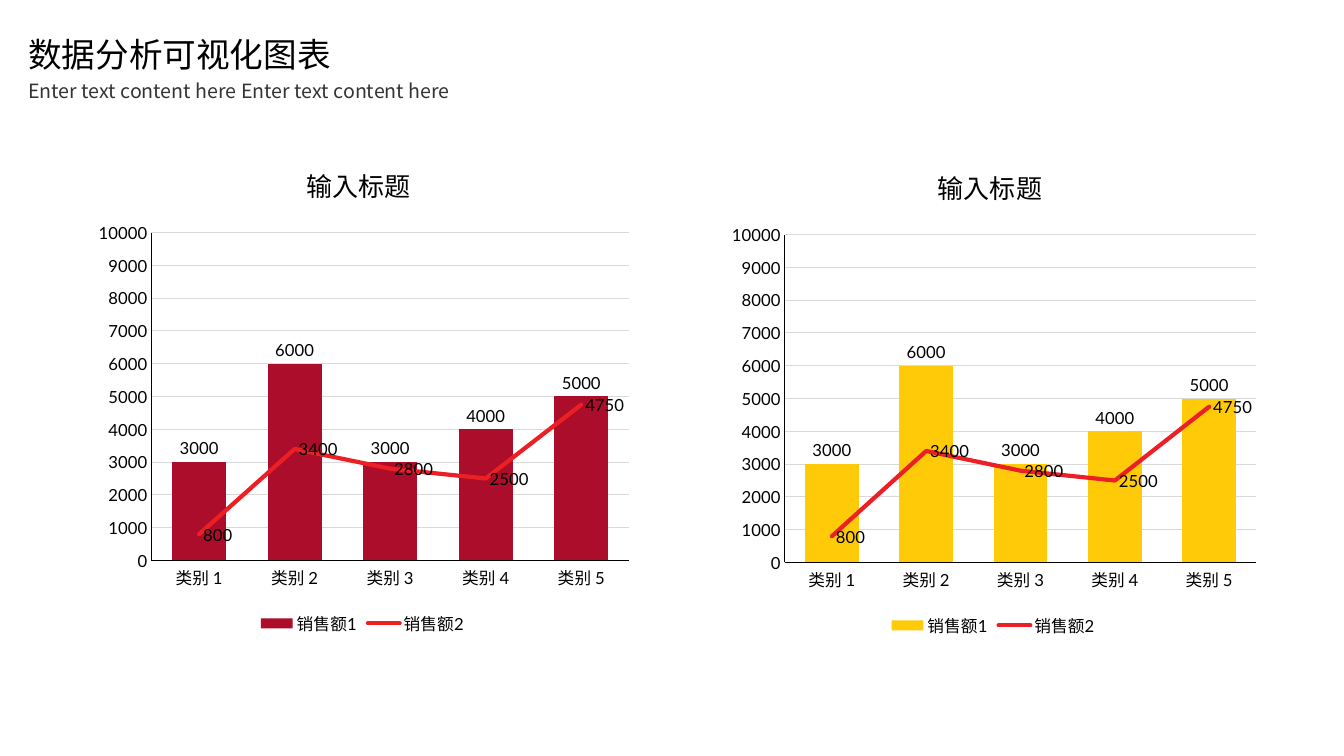
from dataclasses import dataclass

from lxml import etree
from pptx import Presentation
from pptx import util as u
from pptx.chart import data as chart_data
from pptx.dml.color import RGBColor
from pptx.enum import chart as ch
from pptx.enum import text
from pptx.oxml import parse_xml
from pptx.oxml import ns


@dataclass(frozen=True)
class Theme:
    black: str = "000000"
    grey: str = "333333"
    grid: str = "D9D9D9"
    line_red: str = "EC1F25"
    crimson: str = "AC0D2B"
    yellow: str = "FFCB09"
    latin: str = "Lato"
    cjk: str = "Noto Sans CJK JP"
    heading_size: float = 24
    subtitle_size: float = 14
    chart_title_size: float = 18.6
    chart_size: float = 10
    label_size: float = 11.9


@dataclass(frozen=True)
class SalesChart:
    left: float
    top: float
    width: float
    bar_color: str


THEME = Theme()
CHART_HEIGHT = 4.93
CATEGORIES = [f"类别 {number}" for number in range(1, 6)]
SALES = {
    "销售额1": (3000, 6000, 3000, 4000, 5000),
    "销售额2": (800, 3400, 2800, 2500, 4750),
}
SALES_CHARTS = (
    SalesChart(0.84, 1.42, 5.51, THEME.crimson),
    SalesChart(7.13, 1.44, 5.44, THEME.yellow),
)


def set_all(target: object, values: dict) -> None:
    for name, value in values.items():
        setattr(target, name, value)


def style_font(font, size: float, color: str = THEME.black, name: str = THEME.latin) -> None:
    set_all(font, {"size": u.Pt(size), "name": name, "bold": False})
    font.color.rgb = RGBColor.from_string(color)


def style_line(line, color: str, width: float) -> None:
    line.color.rgb = RGBColor.from_string(color)
    line.width = u.Pt(width)


def write_cjk(paragraph, words: str, size: float, color: str = THEME.black) -> None:
    """Add a run whose Latin and East Asian fonts are both the CJK one."""
    run = paragraph.add_run()
    run.text = words
    style_font(run.font, size, color, THEME.cjk)
    latin = run.font._element.find(ns.qn("a:latin"))
    east_asian = etree.Element(ns.qn("a:ea"), typeface=THEME.cjk)
    latin.addnext(east_asian)


def write_heading(shape, words: str, size: float, color: str, box: tuple) -> None:
    """Place a one-line heading; box is left, top, width and height in inches."""
    set_all(shape, dict(zip(("left", "top", "width", "height"), map(u.Inches, box))))
    frame = shape.text_frame
    set_all(frame, {
        "word_wrap": True,
        "auto_size": text.MSO_AUTO_SIZE.SHAPE_TO_FIT_TEXT,
        "vertical_anchor": text.MSO_ANCHOR.TOP,
    })
    paragraph = frame.paragraphs[0]
    paragraph.alignment = text.PP_ALIGN.LEFT
    write_cjk(paragraph, words, size, color)


def manual_layout(**values: float | str):
    """Build a c:layout from fractions of the chart's size."""
    layout = parse_xml(f'<c:layout {ns.nsdecls("c")}><c:manualLayout/></c:layout>')
    for name, value in values.items():
        etree.SubElement(layout[0], ns.qn(f"c:{name}"), val=str(value))
    return layout


def remove_children(parent, tag: str) -> None:
    for child in parent.findall(ns.qn(tag)):
        parent.remove(child)


def move_last_series_to_line(chart) -> None:
    """Turn the last column series into a line on the same axes."""
    bars = chart.plots[0]._element
    series = bars.findall(ns.qn("c:ser"))[-1]
    line_plot = parse_xml(
        f'<c:lineChart {ns.nsdecls("c")}><c:grouping val="standard"/>'
        '<c:varyColors val="0"/><c:marker val="1"/></c:lineChart>'
    )
    remove_children(series, "c:invertIfNegative")
    line_plot.insert(2, series)
    for axis in bars.findall(ns.qn("c:axId")):
        etree.SubElement(line_plot, ns.qn("c:axId"), val=axis.get("val"))
    bars.addnext(line_plot)


def label_values(series, position) -> None:
    labels = series.data_labels
    set_all(labels, {"show_value": True, "position": position})
    style_font(labels.font, THEME.label_size)


def style_axes(chart) -> None:
    for axis in (chart.category_axis, chart.value_axis):
        set_all(axis, {
            "major_tick_mark": ch.XL_TICK_MARK.NONE,
            "minor_tick_mark": ch.XL_TICK_MARK.NONE,
        })
        style_font(axis.tick_labels.font, THEME.label_size)
        style_line(axis.format.line, THEME.black, 0.75)
    set_all(chart.value_axis, {
        "minimum_scale": 0, "maximum_scale": 10000, "major_unit": 1000,
        "has_major_gridlines": True,
    })
    style_line(chart.value_axis.major_gridlines.format.line, THEME.grid, 0.75)


def title_and_legend(chart) -> None:
    chart.has_title = True
    title = chart.chart_title
    write_cjk(title.text_frame.paragraphs[0], "输入标题", THEME.chart_title_size)
    chart.has_legend = True
    set_all(chart.legend, {
        "position": ch.XL_LEGEND_POSITION.BOTTOM, "include_in_layout": False,
    })
    style_font(chart.legend.font, THEME.label_size)

    title_layout = manual_layout(xMode="edge", yMode="edge", x=0.39, y=0.03)
    plot_layout = manual_layout(
        layoutTarget="inner", xMode="edge", yMode="edge", x=0.12, y=0.18, w=0.86, h=0.66
    )
    plot_area = chart._chartSpace.find(f'{ns.qn("c:chart")}/{ns.qn("c:plotArea")}')
    title_element = chart._chartSpace.find(f'{ns.qn("c:chart")}/{ns.qn("c:title")}')
    for parent, layout, index in ((title_element, title_layout, 1), (plot_area, plot_layout, 0)):
        remove_children(parent, "c:layout")
        parent.insert(index, layout)


def draw_sales_chart(slide, sales_chart: SalesChart) -> None:
    sales = chart_data.CategoryChartData()
    sales.categories = CATEGORIES
    for name, values in SALES.items():
        sales.add_series(name, values)
    box = (sales_chart.left, sales_chart.top, sales_chart.width, CHART_HEIGHT)
    chart = slide.shapes.add_chart(
        ch.XL_CHART_TYPE.COLUMN_CLUSTERED, *map(u.Inches, box), sales
    ).chart
    style_font(chart.font, THEME.chart_size)
    move_last_series_to_line(chart)
    style_axes(chart)
    title_and_legend(chart)

    columns, trend = chart.plots
    set_all(columns, {"gap_width": 76, "vary_by_categories": False})
    bar_series, line_series = columns.series[0], trend.series[0]
    bar_series.format.fill.solid()
    bar_series.format.fill.fore_color.rgb = RGBColor.from_string(sales_chart.bar_color)
    label_values(bar_series, ch.XL_LABEL_POSITION.OUTSIDE_END)
    style_line(line_series.format.line, THEME.line_red, 3)
    line_series.format.line._get_or_add_ln().set("cap", "rnd")
    line_series.marker.style = ch.XL_MARKER_STYLE.NONE
    line_series.smooth = False
    label_values(line_series, ch.XL_LABEL_POSITION.RIGHT)


def main() -> None:
    deck = Presentation()
    set_all(deck, {"slide_width": u.Inches(13.33), "slide_height": u.Inches(7.5)})
    slide = deck.slides.add_slide(deck.slide_layouts[5])
    for sales_chart in SALES_CHARTS:
        draw_sales_chart(slide, sales_chart)
    write_heading(slide.shapes.title, "数据分析可视化图表",
                  THEME.heading_size, THEME.black, (0.18, 0.29, 3.78, 0.5))
    subtitle = slide.shapes.add_textbox(0, 0, 0, 0)
    write_heading(subtitle, "Enter text content here Enter text content here",
                  THEME.subtitle_size, THEME.grey, (0.18, 0.73, 6.24, 0.34))
    deck.save("out.pptx")


if __name__ == "__main__":
    main()
